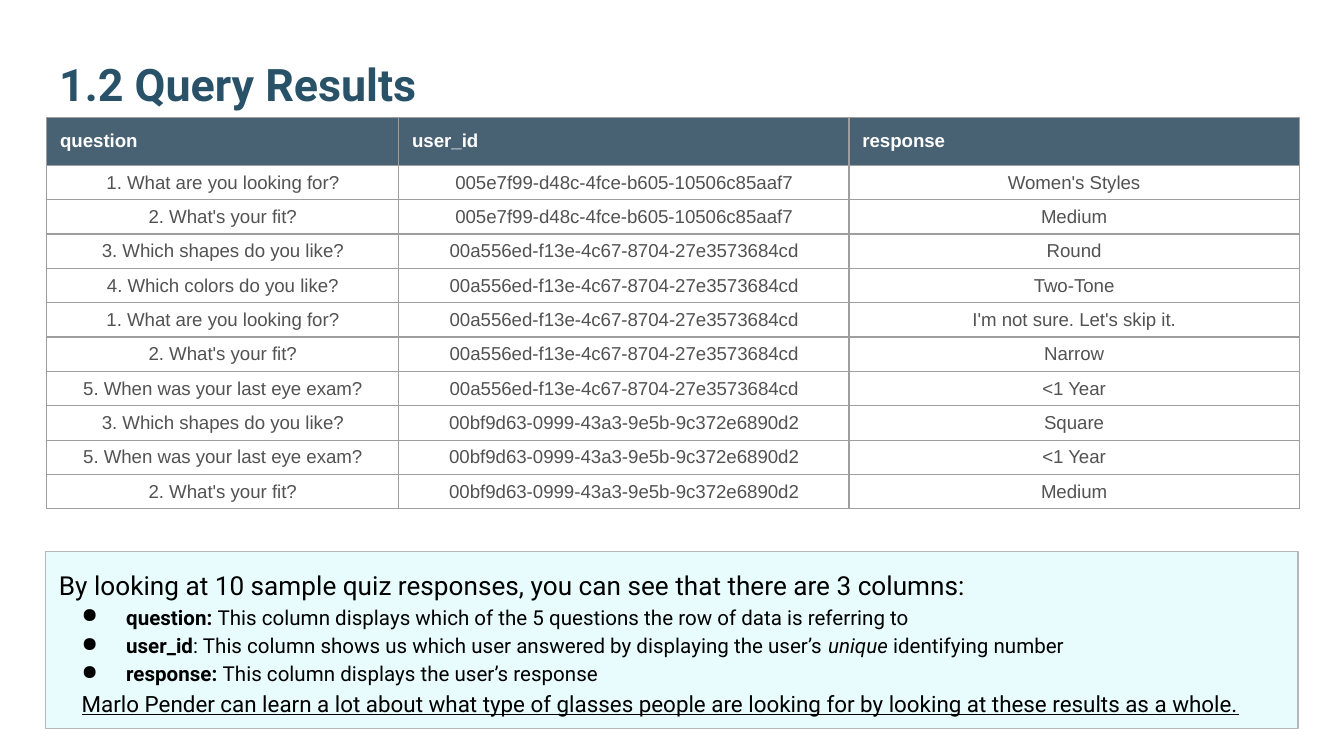
from dataclasses import dataclass, field

from lxml import etree
from pptx import Presentation
from pptx import util as u
from pptx.dml import color
from pptx.enum import shapes, text
from pptx.oxml import ns

Pt = u.Pt
LEFT, WIDTH = 24.5, 671
COLUMN_WIDTHS = (188.6, 241.2, 241.2)
HEADER_HEIGHT, ROW_HEIGHT = 25.2, 18.4
HEADERS = ("question", "user_id", "response")

LOOKING = "1. What are you looking for?"
FIT = "2. What's your fit?"
SHAPES = "3. Which shapes do you like?"
COLORS = "4. Which colors do you like?"
EXAM = "5. When was your last eye exam?"
USER_A = "005e7f99-d48c-4fce-b605-10506c85aaf7"
USER_B = "00a556ed-f13e-4c67-8704-27e3573684cd"
USER_C = "00bf9d63-0999-43a3-9e5b-9c372e6890d2"
ROWS = (
    (LOOKING, USER_A, "Women's Styles"),
    (FIT, USER_A, "Medium"),
    (SHAPES, USER_B, "Round"),
    (COLORS, USER_B, "Two-Tone"),
    (LOOKING, USER_B, "I'm not sure. Let's skip it."),
    (FIT, USER_B, "Narrow"),
    (EXAM, USER_B, "<1 Year"),
    (SHAPES, USER_C, "Square"),
    (EXAM, USER_C, "<1 Year"),
    (FIT, USER_C, "Medium"),
)


@dataclass
class Run:
    words: str
    style: dict = field(default_factory=dict)


@dataclass
class Line:
    runs: tuple
    size: float
    margin: float = 0
    indent: float = 0
    bullet: bool = False


def bullet_line(*runs: Run) -> Line:
    return Line(runs, 11, margin=36, indent=-23.8, bullet=True)


BOLD = {"bold": True}
NOTES = (
    Line((Run("By looking at 10 sample quiz responses, you can see that "
              "there are 3 columns:"),), 14),
    bullet_line(Run("question: ", BOLD),
                Run("This column displays which of the 5 questions the row of "
                    "data is referring to")),
    bullet_line(Run("user_id", BOLD),
                Run(": This column shows us which user answered by displaying "
                    "the user’s "),
                Run("unique", {"italic": True}),
                Run(" identifying number")),
    bullet_line(Run("response: ", BOLD),
                Run("This column displays the user’s response")),
    Line((Run("Marlo Pender can learn a lot about what type of glasses people "
              "are looking for by looking at these results as a whole.",
              {"underline": True}),), 12, margin=12.2),
)


def rgb(value: str) -> color.RGBColor:
    return color.RGBColor.from_string(value)


def set_all(target, values: dict) -> None:
    for name, value in values.items():
        setattr(target, name, value)


def format_font(font, hex_color: str, **values) -> None:
    set_all(font, values)
    font.color.rgb = rgb(hex_color)


def set_margins(target, side: float, vertical: float) -> None:
    set_all(target, {"margin_left": Pt(side), "margin_right": Pt(side),
                     "margin_top": Pt(vertical), "margin_bottom": Pt(vertical)})


def add_borders(cell, hex_color: str, width: float) -> None:
    properties = cell._tc.get_or_add_tcPr()
    for position, side in enumerate(("lnL", "lnR", "lnT", "lnB")):
        line = etree.Element(ns.qn(f"a:{side}"), w=str(Pt(width)))
        fill = etree.SubElement(line, ns.qn("a:solidFill"))
        etree.SubElement(fill, ns.qn("a:srgbClr"), val=hex_color)
        properties.insert(position, line)


def fill_cell(cell, words: str, is_header: bool) -> None:
    cell.text = words
    paragraph = cell.text_frame.paragraphs[0]
    format_font(paragraph.runs[0].font, "FFFFFF" if is_header else "525252",
                name="Arial", size=Pt(10), bold=is_header)
    if is_header:
        set_margins(cell, 7.2, 7.2)
        cell.fill.solid()
        cell.fill.fore_color.rgb = rgb("204056")
        shade = cell._tc.tcPr.find(".//" + ns.qn("a:srgbClr"))
        etree.SubElement(shade, ns.qn("a:alpha"), val="82000")
    else:
        set_margins(cell, 7.2, 2)
        cell.vertical_anchor = text.MSO_ANCHOR.MIDDLE
        paragraph.alignment = text.PP_ALIGN.CENTER
        cell.fill.background()
    add_borders(cell, "9E9E9E", 0.75)


def add_results_table(slide) -> None:
    height = HEADER_HEIGHT + ROW_HEIGHT * len(ROWS)
    table = slide.shapes.add_table(len(ROWS) + 1, len(HEADERS), Pt(25), Pt(63),
                                   Pt(WIDTH), Pt(height)).table
    set_all(table, {"first_row": False, "horz_banding": False})
    for column, width in zip(table.columns, COLUMN_WIDTHS):
        column.width = Pt(width)
    for row_index, values in enumerate((HEADERS, *ROWS)):
        is_header = row_index == 0
        table.rows[row_index].height = Pt(HEADER_HEIGHT if is_header else ROW_HEIGHT)
        for column_index, words in enumerate(values):
            fill_cell(table.cell(row_index, column_index), words, is_header)


def format_title(title) -> None:
    set_all(title, {"left": Pt(LEFT), "top": Pt(0), "width": Pt(WIDTH),
                    "height": Pt(66.2)})
    title.text = "1.2 Query Results"
    frame = title.text_frame
    set_all(frame, {"vertical_anchor": text.MSO_ANCHOR.BOTTOM, "word_wrap": True,
                    "auto_size": text.MSO_AUTO_SIZE.NONE})
    set_margins(frame, 7.2, 7.2)
    paragraph = frame.paragraphs[0]
    paragraph.alignment = text.PP_ALIGN.LEFT
    format_font(paragraph.runs[0].font, "295269", name="Roboto", size=Pt(24), bold=True)


def write_line(paragraph, line: Line) -> None:
    set_all(paragraph, {"alignment": text.PP_ALIGN.LEFT, "line_spacing": 1.15})
    properties = paragraph._p.get_or_add_pPr()
    properties.set("marL", str(Pt(line.margin)))
    properties.set("indent", str(Pt(line.indent)))
    if line.bullet:
        bullet_color = etree.SubElement(properties, ns.qn("a:buClr"))
        etree.SubElement(bullet_color, ns.qn("a:srgbClr"), val="000000")
        etree.SubElement(properties, ns.qn("a:buChar"), char="●")
    for part in line.runs:
        run = paragraph.add_run()
        run.text = part.words
        format_font(run.font, "000000", name="Roboto", size=Pt(line.size), **part.style)


def add_notes_panel(slide) -> None:
    shape = slide.shapes.add_shape(shapes.MSO_SHAPE.RECTANGLE, Pt(LEFT), Pt(295.4),
                                   Pt(WIDTH), Pt(95))
    shape.shadow.inherit = False
    shape.fill.solid()
    shape.fill.fore_color.rgb = rgb("E8FCFD")
    shape.line.color.rgb = rgb("B7B7B7")
    shape.line.width = Pt(0.75)
    frame = shape.text_frame
    set_all(frame, {"word_wrap": True, "vertical_anchor": text.MSO_ANCHOR.TOP})
    set_margins(frame, 7.2, 7.2)
    for index, line in enumerate(NOTES):
        write_line(frame.add_paragraph() if index else frame.paragraphs[0], line)


def main() -> None:
    presentation = Presentation()
    set_all(presentation, {"slide_width": Pt(720), "slide_height": Pt(405)})
    slide = presentation.slides.add_slide(presentation.slide_layouts[5])
    # Query results
    add_results_table(slide)
    # Heading
    format_title(slide.shapes.title)
    # Explanation of the columns
    add_notes_panel(slide)
    presentation.save("out.pptx")


if __name__ == "__main__":
    main()
